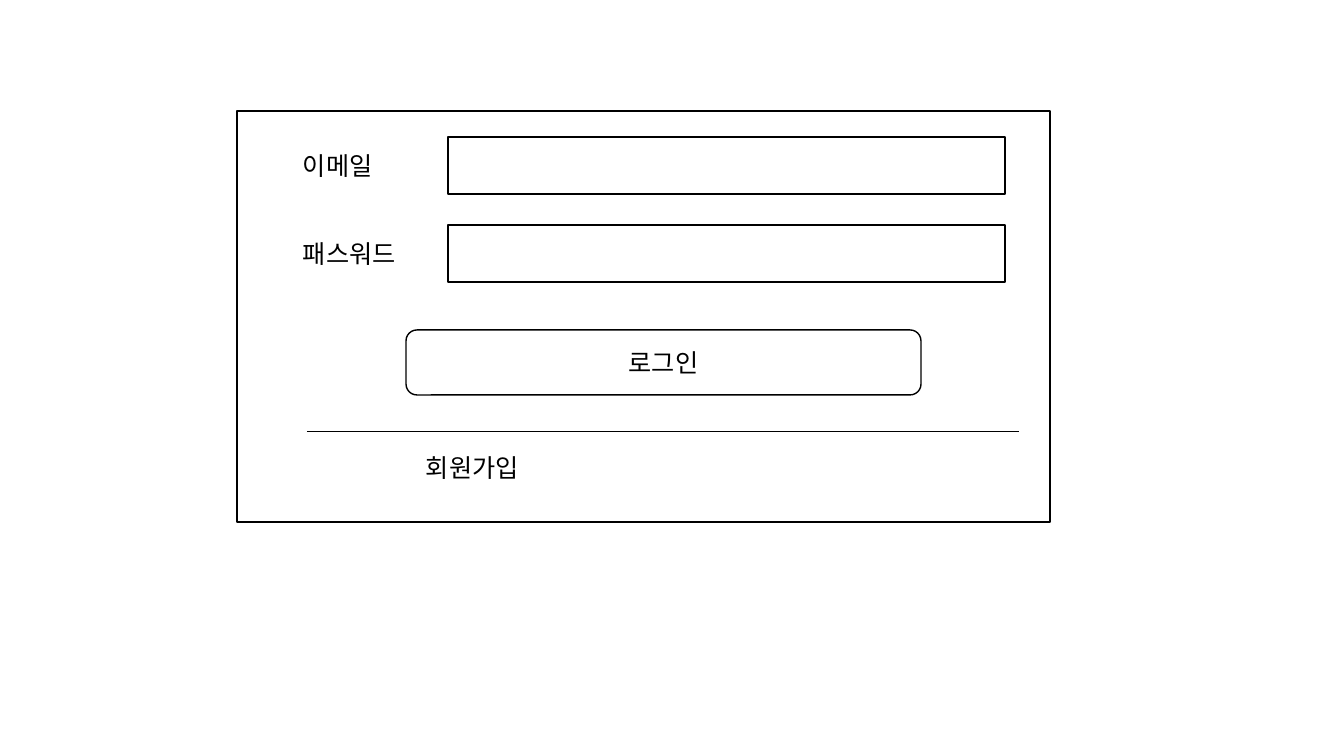
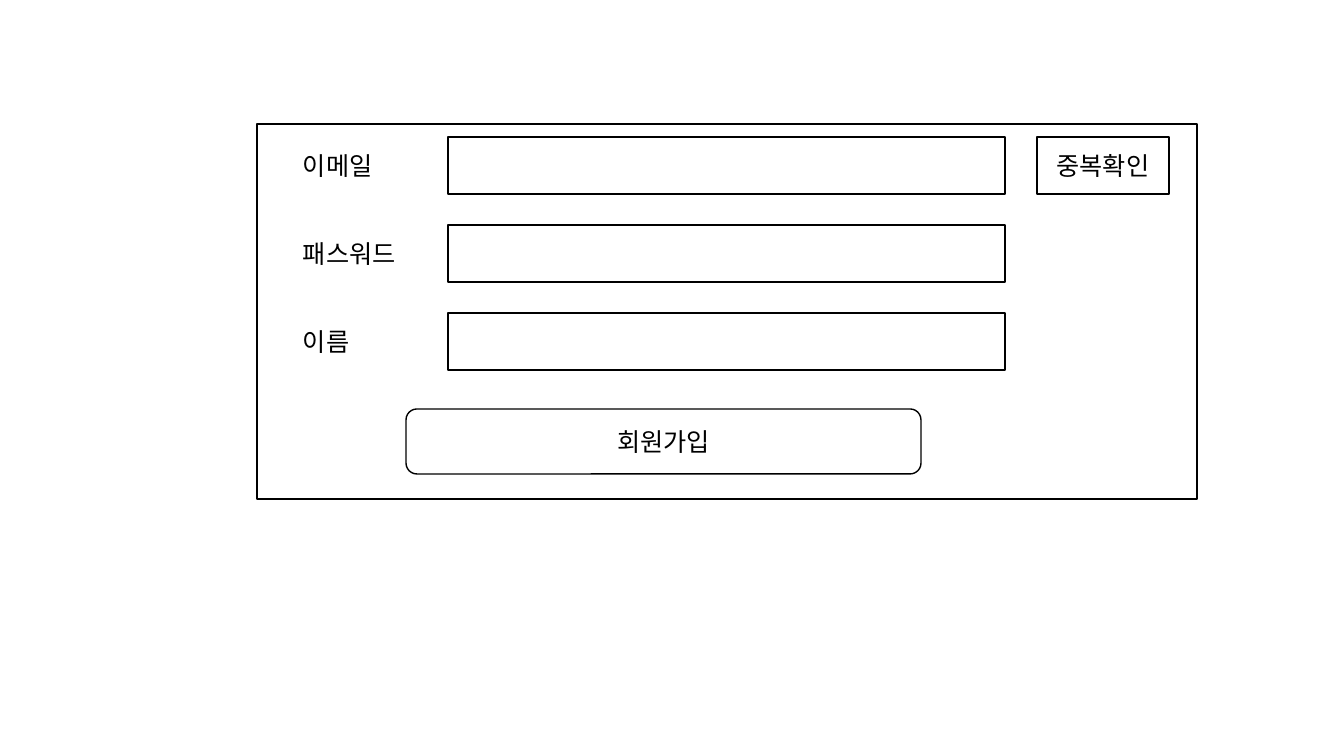
from dataclasses import dataclass
from lxml.etree import SubElement
from pptx import Presentation
from pptx.dml.color import RGBColor
from pptx.enum.shapes import MSO_CONNECTOR as Connector, MSO_SHAPE as Preset
from pptx.enum.text import MSO_ANCHOR as Anchor, MSO_AUTO_SIZE as AutoSize, PP_ALIGN as Align
from pptx.oxml.ns import qn
from pptx.slide import Slide
from pptx.text.text import TextFrame
from pptx.util import Emu, Pt

EMU_PER_PIXEL = 914400 / 100.8
INK, PAPER = "000000", "FFFFFF"
TYPEFACE = "Noto Sans CJK KR"
TEXT_FORMAT = {"size": Pt(18), "name": TYPEFACE}
CAPTION_FORMAT = {"word_wrap": True, "auto_size": AutoSize.SHAPE_TO_FIT_TEXT}
BUTTON_FORMAT = {"word_wrap": True, "vertical_anchor": Anchor.MIDDLE}
FIELD_TOP, FIELD_PITCH = 137, 88
CAPTION_HEIGHT = 40


@dataclass(frozen=True)
class Area:
    left: int
    top: int
    width: int
    height: int

    def emu(self) -> list[Emu]:
        return [px(n) for n in (self.left, self.top, self.width, self.height)]


@dataclass(frozen=True)
class Form:
    frame: Area
    fields: tuple[str, ...]
    submit: str
    submit_top: int


def px(pixels: int) -> Emu:
    return Emu(round(pixels * EMU_PER_PIXEL))


def color(code: str) -> RGBColor:
    return RGBColor.from_string(code)


def apply(target: object, values: dict) -> None:
    for name, value in values.items():
        setattr(target, name, value)


def write(frame: TextFrame, words: str, layout: dict, align: Align) -> None:
    apply(frame, layout)
    paragraph = frame.paragraphs[0]
    paragraph.alignment = align
    run = paragraph.add_run()
    run.text = words
    apply(run.font, TEXT_FORMAT)
    run.font.color.rgb = color(INK)
    SubElement(run._r.get_or_add_rPr(), qn("a:ea"), typeface=TYPEFACE)


def draw_box(slide: Slide, area: Area, words: str = "", preset: Preset = Preset.RECTANGLE) -> None:
    box = slide.shapes.add_shape(preset, *area.emu())
    box.shadow.inherit = False
    box.fill.solid()
    box.fill.fore_color.rgb = color(PAPER)
    box.line.color.rgb = color(INK)
    box.line.width = Pt(1)
    if words:
        write(box.text_frame, words, BUTTON_FORMAT, Align.CENTER)


def draw_caption(slide: Slide, area: Area, words: str) -> None:
    caption = slide.shapes.add_textbox(*area.emu())
    write(caption.text_frame, words, CAPTION_FORMAT, Align.LEFT)


def draw_divider(slide: Slide, left: int, right: int, top: int) -> None:
    divider = slide.shapes.add_connector(Connector.STRAIGHT, px(left), px(top), px(right), px(top))
    divider.line.color.rgb = color(INK)
    divider.line.width = Pt(0.5)
    SubElement(divider._element.spPr, qn("a:effectLst"))


def draw_form(deck: Presentation, form: Form) -> Slide:
    slide = deck.slides.add_slide(deck.slide_layouts[6])
    draw_box(slide, form.frame)
    for row, label in enumerate(form.fields):
        top = FIELD_TOP + row * FIELD_PITCH
        draw_box(slide, Area(448, top, 557, 57))
        draw_caption(slide, Area(293, top + 8, 128, CAPTION_HEIGHT), label)
    draw_box(slide, Area(406, form.submit_top, 515, 65), form.submit, Preset.ROUNDED_RECTANGLE)
    return slide


LOGIN = Form(Area(237, 111, 813, 411), ("이메일", "패스워드"), "로그인", 330)
SIGN_UP = Form(Area(257, 124, 940, 375), ("이메일", "패스워드", "이름"), "회원가입", 409)

deck = Presentation()
apply(deck, {"slide_width": px(1344), "slide_height": px(756)})

login = draw_form(deck, LOGIN)
draw_divider(login, 307, 1019, 431)
draw_caption(login, Area(416, 447, 505, CAPTION_HEIGHT), SIGN_UP.submit)

sign_up = draw_form(deck, SIGN_UP)
draw_box(sign_up, Area(1037, FIELD_TOP, 132, 57), "중복확인")

deck.save("out.pptx")
